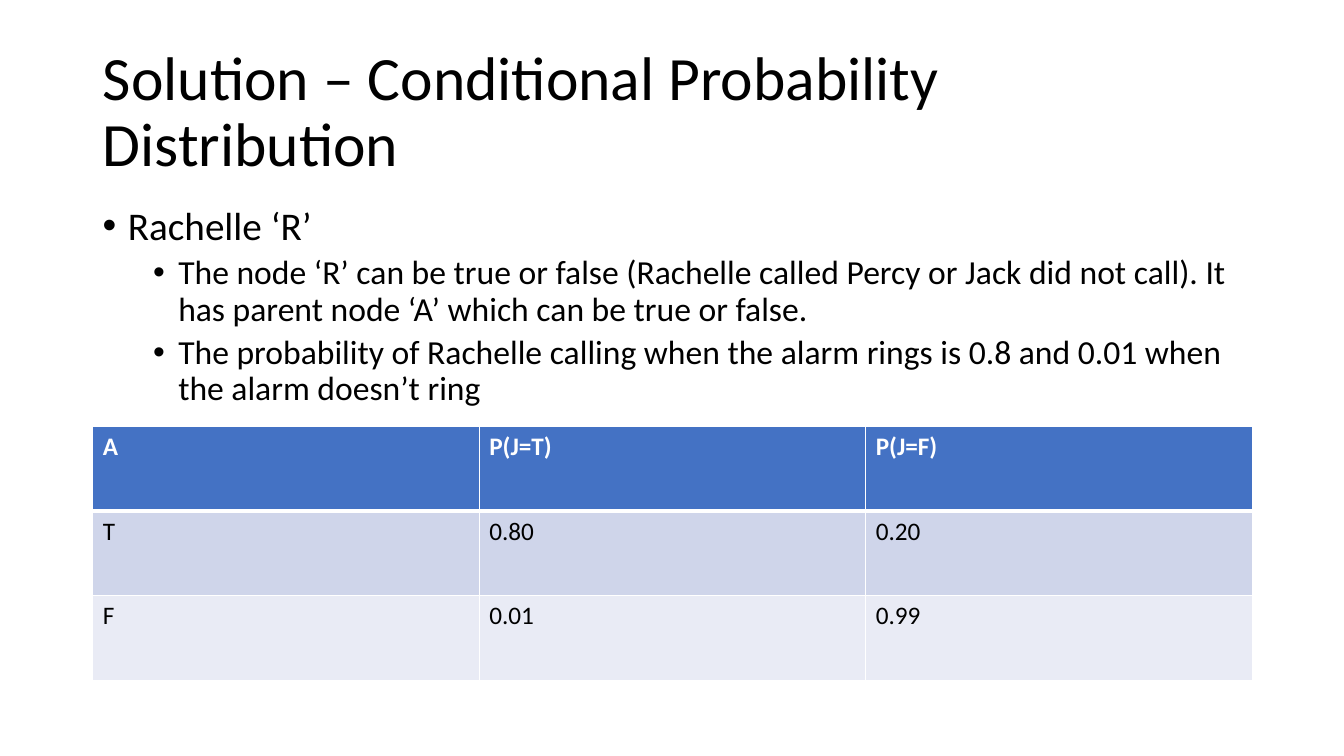
from dataclasses import dataclass

from lxml.etree import SubElement
from pptx import Presentation
from pptx.dml.color import RGBColor as Color
from pptx.enum.text import MSO_ANCHOR as Anchor, MSO_AUTO_SIZE as AutoSize, PP_ALIGN as Align
from pptx.oxml.ns import qn
from pptx.util import Inches, Pt


@dataclass(frozen=True)
class Theme:
    font: str = "Calibri"
    text: str = "000000"
    light: str = "FFFFFF"
    header: str = "4472C4"
    bands: tuple = ("CFD5EA", "E9EBF5")
    title_size: int = 44
    level_sizes: tuple = (28, 24)
    table_size: int = 18
    thin: int = 1
    thick: int = 3


THEME = Theme()

# Page grid
WIDTH, HEIGHT = 13.33, 7.5
LEFT, CONTENT_WIDTH = 0.92, 11.5
ROW_HEIGHT = 0.84
BULLET_HANG = 0.25

TITLE = "Solution – Conditional Probability Distribution"
BULLETS = [
    (0, "Rachelle ‘R’"),
    (1, "The node ‘R’ can be true or false (Rachelle called Percy or Jack did not call). "
        "It has parent node ‘A’ which can be true or false."),
    (1, "The probability of Rachelle calling when the alarm rings is 0.8 and 0.01 "
        "when the alarm doesn’t ring"),
]
PROBABILITIES = [
    ("A", "P(J=T)", "P(J=F)"),
    ("T", "0.80", "0.20"),
    ("F", "0.01", "0.99"),
]


def format_runs(para, size, color=THEME.text, bold=False):
    for span in para.runs:
        span.font.name = THEME.font
        span.font.size = Pt(size)
        span.font.bold = bold
        span.font.color.rgb = Color.from_string(color)


def place(box, top, height):
    box.left, box.top = Inches(LEFT), Inches(top)
    box.width, box.height = Inches(CONTENT_WIDTH), Inches(height)


def add_title(page, text):
    box = page.shapes.title
    place(box, 0.4, 1.45)
    frame = box.text_frame
    frame.text = text
    frame.word_wrap = True
    frame.auto_size = AutoSize.NONE
    frame.vertical_anchor = Anchor.MIDDLE
    para = frame.paragraphs[0]
    para.alignment = Align.LEFT
    para.line_spacing = 0.9
    format_runs(para, THEME.title_size)


def set_bullet(para, level):
    props = para._p.get_or_add_pPr()
    props.set("marL", str(Inches(BULLET_HANG + 0.5 * level)))
    props.set("indent", str(-Inches(BULLET_HANG)))
    SubElement(props, qn("a:buFont"), typeface="Arial")
    SubElement(props, qn("a:buChar"), char="•")


def add_bullets(page, bullets, top, height):
    box = page.shapes.add_textbox(0, 0, 0, 0)
    place(box, top, height)
    frame = box.text_frame
    frame.word_wrap = True
    frame.text = "\n".join(text for _, text in bullets)
    for para, (level, _) in zip(frame.paragraphs, bullets):
        para.level = level
        para.line_spacing = 0.9
        para.space_before = Pt(5 if level else 10)
        set_bullet(para, level)
        format_runs(para, THEME.level_sizes[level])


def set_borders(cell, top, bottom):
    props = cell._tc.get_or_add_tcPr()
    widths = {"lnL": THEME.thin, "lnR": THEME.thin, "lnT": top, "lnB": bottom}
    for side, width in widths.items():
        line = SubElement(props, qn(f"a:{side}"), w=str(Pt(width)))
        fill = SubElement(line, qn("a:solidFill"))
        SubElement(fill, qn("a:srgbClr"), val=THEME.light)


def style_cell(cell, row):
    is_header = row == 0
    # Borders come before the fill in the cell properties
    set_borders(cell, THEME.thick if row == 1 else THEME.thin,
                THEME.thick if is_header else THEME.thin)
    fill = THEME.header if is_header else THEME.bands[(row - 1) % 2]
    cell.fill.solid()
    cell.fill.fore_color.rgb = Color.from_string(fill)
    format_runs(cell.text_frame.paragraphs[0], THEME.table_size,
                THEME.light if is_header else THEME.text, is_header)


def add_probability_table(page, rows, top):
    columns = len(rows[0])
    table = page.shapes.add_table(
        len(rows), columns, Inches(LEFT), Inches(top),
        Inches(CONTENT_WIDTH), Inches(ROW_HEIGHT * len(rows))).table
    for column in table.columns:
        column.width = Inches(CONTENT_WIDTH / columns)
    for row, values in enumerate(rows):
        table.rows[row].height = Inches(ROW_HEIGHT)
        for column, value in enumerate(values):
            cell = table.cell(row, column)
            cell.text_frame.text = value
            style_cell(cell, row)


def main():
    deck = Presentation()
    deck.slide_width, deck.slide_height = Inches(WIDTH), Inches(HEIGHT)
    page = deck.slides.add_slide(deck.slide_layouts.get_by_name("Title Only"))
    add_title(page, TITLE)
    add_bullets(page, BULLETS, top=2, height=4.76)
    add_probability_table(page, PROBABILITIES, top=4.23)
    deck.save("out.pptx")


if __name__ == "__main__":
    main()
